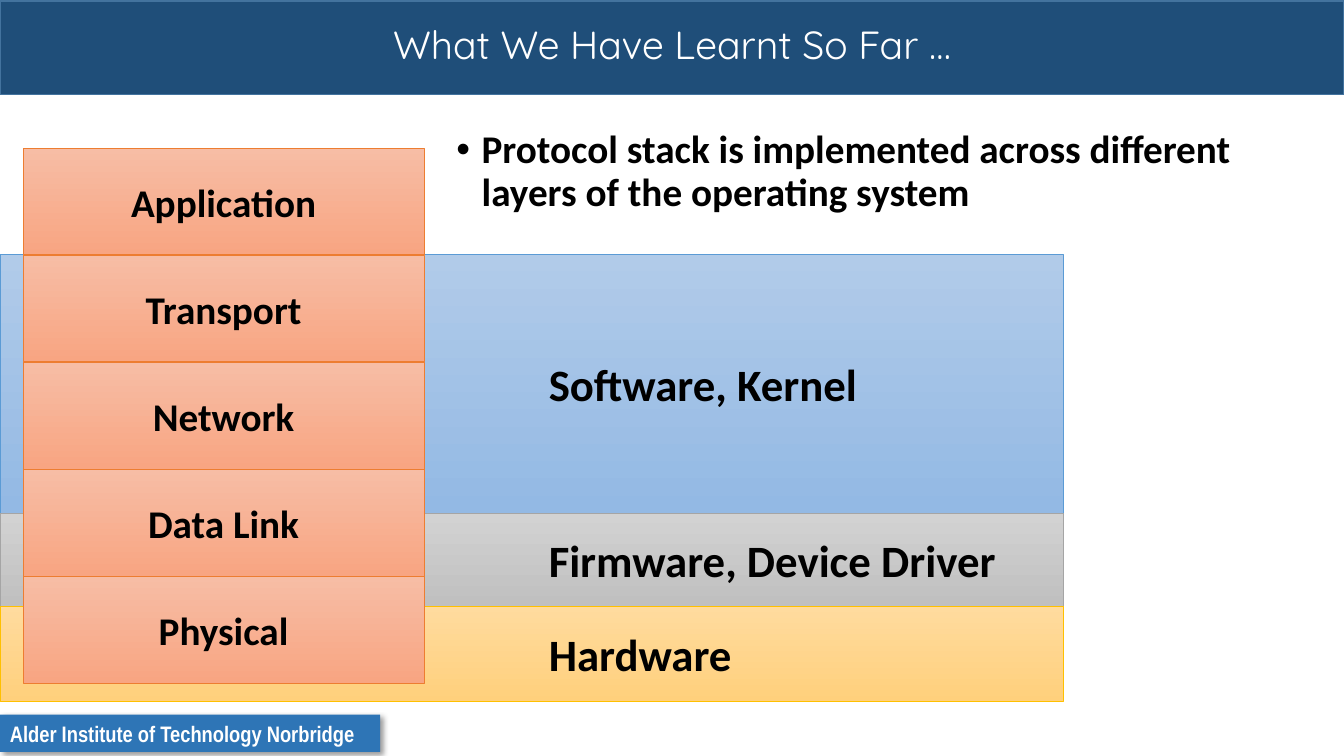
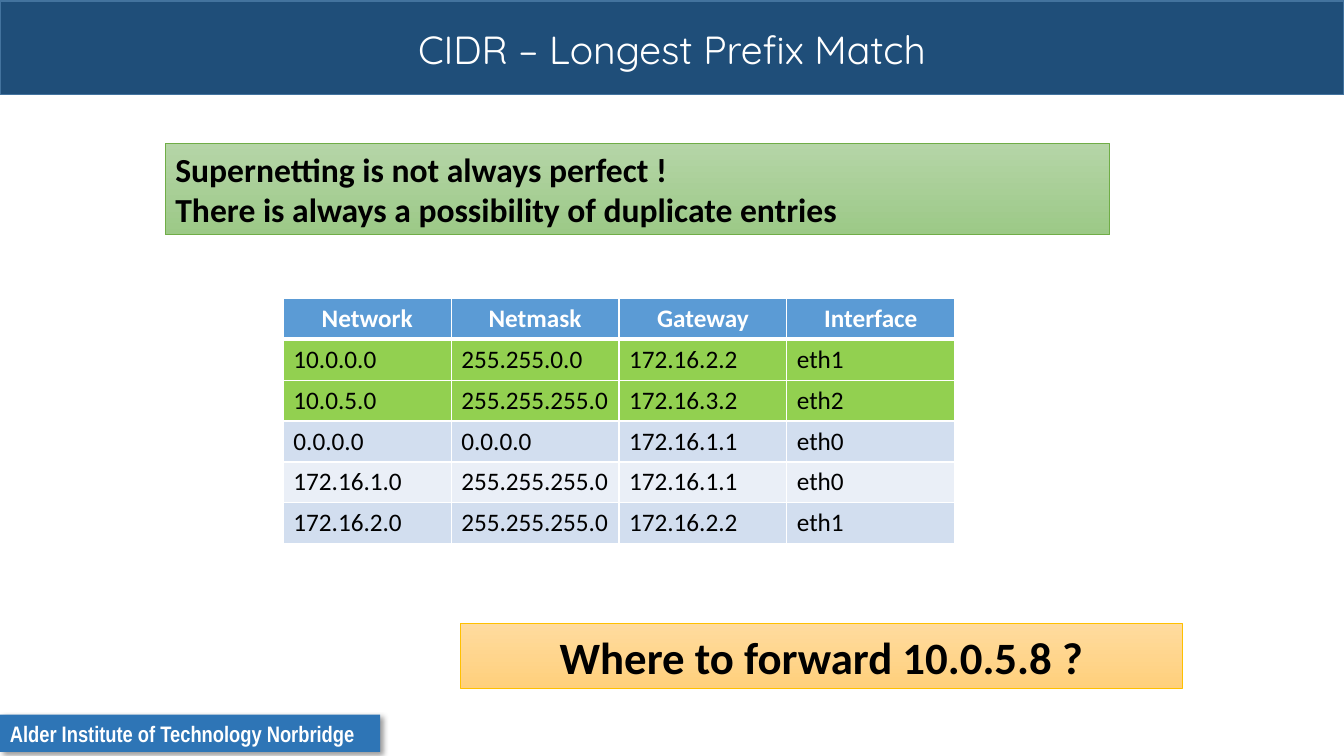
import pptx
import pptx.dml.color
import pptx.enum.shapes
import pptx.enum.text
import pptx.oxml
import pptx.oxml.ns
import pptx.util

Cm = pptx.util.Cm
Pt = pptx.util.Pt
RGBColor = pptx.dml.color.RGBColor
ALIGN = pptx.enum.text.PP_ALIGN
ANCHOR = pptx.enum.text.MSO_ANCHOR
RECTANGLE = pptx.enum.shapes.MSO_SHAPE.RECTANGLE

# Colours
WHITE = RGBColor(0xFF, 0xFF, 0xFF)
BLACK = RGBColor(0x00, 0x00, 0x00)
TITLE_FILL = RGBColor(0x1F, 0x4E, 0x79)
TITLE_LINE = RGBColor(0x43, 0x73, 0x9E)
FOOTER_FILL = RGBColor(0x2E, 0x75, 0xB6)
HEADER_FILL = RGBColor(0x5B, 0x9B, 0xD5)
MATCH_FILL = RGBColor(0x92, 0xD0, 0x50)
ROW_DARK = RGBColor(0xD2, 0xDE, 0xEF)
ROW_LIGHT = RGBColor(0xEA, 0xEF, 0xF7)

# Gradient themes: top, bottom, outline
BLUE = (RGBColor(0xB1, 0xCB, 0xE9), RGBColor(0x93, 0xB9, 0xE4), HEADER_FILL)
GREY = (RGBColor(0xD2, 0xD2, 0xD2), RGBColor(0xC0, 0xC0, 0xC0), RGBColor(0xA5, 0xA5, 0xA5))
GOLD = (RGBColor(0xFF, 0xDB, 0x9E), RGBColor(0xFF, 0xD0, 0x7C), RGBColor(0xFF, 0xC0, 0x00))
ORANGE = (RGBColor(0xF7, 0xBD, 0xA5), RGBColor(0xF8, 0xA5, 0x82), RGBColor(0xED, 0x7D, 0x31))
GREEN = (RGBColor(0xB5, 0xD5, 0xA7), RGBColor(0x9C, 0xC9, 0x87), RGBColor(0x70, 0xAD, 0x47))

# Font formats
TITLE_FONT = {"name": "Quicksand", "size": Pt(28), "bold": False}
FOOTER_FONT = {"name": "Arial Narrow", "size": Pt(16), "bold": True}
LARGE_FONT = {"name": "Calibri", "size": Pt(32), "bold": True}
BODY_FONT = {"name": "Calibri", "size": Pt(28), "bold": True}
NOTE_FONT = {"name": "Calibri", "size": Pt(24), "bold": True}
HEADER_FONT = {"name": "Calibri", "size": Pt(18), "bold": True}
CELL_FONT = {"name": "Calibri", "size": Pt(18), "bold": False}

# Paragraph formats
LEFT = {"alignment": ALIGN.LEFT}
CENTER = {"alignment": ALIGN.CENTER}
TITLE_PARAGRAPH = {"alignment": ALIGN.CENTER, "line_spacing": 0.9}
BULLET_PARAGRAPH = {"alignment": ALIGN.LEFT, "line_spacing": 0.9, "space_before": Pt(10)}

SLIDE_WIDTH = 33.87
SLIDE_HEIGHT = 19.05
FOOTER_TEXT = "Alder Institute of Technology Norbridge"

LAYERS = ["Application", "Transport", "Network", "Data Link", "Physical"]
BANDS = [
    ("Software, Kernel", 6.53, BLUE),
    ("Firmware, Device Driver", 2.35, GREY),
    ("Hardware", 2.4, GOLD),
]
ROUTES = [
    ("Network", "Netmask", "Gateway", "Interface"),
    ("10.0.0.0", "255.255.0.0", "172.16.2.2", "eth1"),
    ("10.0.5.0", "255.255.255.0", "172.16.3.2", "eth2"),
    ("0.0.0.0", "0.0.0.0", "172.16.1.1", "eth0"),
    ("172.16.1.0", "255.255.255.0", "172.16.1.1", "eth0"),
    ("172.16.2.0", "255.255.255.0", "172.16.2.2", "eth1"),
]
ROW_FILLS = [HEADER_FILL, MATCH_FILL, MATCH_FILL, ROW_DARK, ROW_LIGHT, ROW_DARK]


def apply_format(target, values):
    for name, value in values.items():
        setattr(target, name, value)


def add_xml(parent, xml):
    """Append an element written with the a: prefix."""
    namespace = pptx.oxml.ns.nsdecls("a")
    parent.append(pptx.oxml.parse_xml(xml.replace(" ", f" {namespace} ", 1)))


def write_text(text_frame, lines, font, color, paragraph_format):
    for index, line in enumerate(lines):
        paragraph = text_frame.add_paragraph() if index else text_frame.paragraphs[0]
        apply_format(paragraph, paragraph_format)
        run = paragraph.add_run()
        run.text = line
        apply_format(run.font, font)
        run.font.color.rgb = color


def add_rectangle(shapes, box, fill, line=None, line_width=0.5):
    """Fill is one colour, or a (top, bottom, outline) gradient theme."""
    shape = shapes.add_shape(RECTANGLE, *map(Cm, box))
    shape.shadow.inherit = False
    if isinstance(fill, RGBColor):
        shape.fill.solid()
        shape.fill.fore_color.rgb = fill
    else:
        *stop_colors, line = fill
        shape.fill.gradient()
        shape.fill.gradient_angle = 270
        for stop, color in zip(shape.fill.gradient_stops, stop_colors):
            stop.color.rgb = color
    if line is None:
        shape.line.fill.background()
    else:
        shape.line.color.rgb = line
        shape.line.width = Pt(line_width)
    return shape


def add_label(shapes, box, theme, lines, font, paragraph_format=CENTER, inset=0.25):
    shape = add_rectangle(shapes, box, theme)
    frame_format = {"word_wrap": True, "vertical_anchor": ANCHOR.MIDDLE, "margin_left": Cm(inset)}
    apply_format(shape.text_frame, frame_format)
    write_text(shape.text_frame, lines, font, BLACK, paragraph_format)


def add_text(slide, box, text, font, color, paragraph_format, anchor):
    text_frame = slide.shapes.add_textbox(*map(Cm, box)).text_frame
    apply_format(text_frame, {"word_wrap": True, "vertical_anchor": anchor})
    write_text(text_frame, [text], font, color, paragraph_format)
    return text_frame


def add_bullet(slide, box, text):
    text_frame = add_text(slide, box, text, BODY_FONT, BLACK, BULLET_PARAGRAPH, ANCHOR.TOP)
    properties = text_frame.paragraphs[0]._p.get_or_add_pPr()
    indent = Cm(0.64)
    properties.set("marL", str(indent))
    properties.set("indent", str(-indent))
    add_xml(properties, '<a:buFont typeface="Arial"/>')
    add_xml(properties, '<a:buChar char="•"/>')


def add_footer(slide):
    footer = add_rectangle(slide.shapes, (0, 18.01, 9.58, 0.94), FOOTER_FILL)
    effects = footer._element.spPr.find(pptx.oxml.ns.qn("a:effectLst"))
    add_xml(
        effects,
        f'<a:outerShdw blurRad="{Pt(4)}" dist="{Pt(3)}" dir="2700000" algn="tl" rotWithShape="0">'
        '<a:srgbClr val="000000"><a:alpha val="40000"/></a:srgbClr></a:outerShdw>',
    )
    apply_format(footer.text_frame, {"word_wrap": False, "vertical_anchor": ANCHOR.MIDDLE})
    write_text(footer.text_frame, [FOOTER_TEXT], FOOTER_FONT, WHITE, LEFT)


def add_slide(presentation, title, title_top):
    """Blank slide with the shared title band and footer."""
    slide = presentation.slides.add_slide(presentation.slide_layouts[6])
    add_rectangle(slide.shapes, (0, 0.03, SLIDE_WIDTH, 2.36), TITLE_FILL, TITLE_LINE, 1)
    add_footer(slide)
    title_box = (0, title_top, SLIDE_WIDTH, 2.3)
    add_text(slide, title_box, title, TITLE_FONT, WHITE, TITLE_PARAGRAPH, ANCHOR.MIDDLE)
    return slide


def set_borders(cell, widths):
    properties = cell._tc.get_or_add_tcPr()
    for side, width in widths.items():
        add_xml(
            properties,
            f'<a:ln{side} w="{Pt(width)}"><a:solidFill><a:srgbClr val="{WHITE}"/>'
            f"</a:solidFill></a:ln{side}>",
        )


def add_route_table(slide, left, top, column_width, row_height):
    row_count, column_count = len(ROUTES), len(ROUTES[0])
    size = (column_width * column_count, row_height * row_count)
    table = slide.shapes.add_table(row_count, column_count, *map(Cm, (left, top, *size))).table
    for column in table.columns:
        column.width = Cm(column_width)
    for row_index, (values, fill) in enumerate(zip(ROUTES, ROW_FILLS)):
        table.rows[row_index].height = Cm(row_height)
        is_header = row_index == 0
        style = (HEADER_FONT, WHITE, CENTER) if is_header else (CELL_FONT, BLACK, LEFT)
        # The rule under the header is thicker than the others
        borders = {"L": 1, "R": 1, "T": 3 if row_index == 1 else 1, "B": 3 if is_header else 1}
        for column_index, value in enumerate(values):
            cell = table.cell(row_index, column_index)
            set_borders(cell, borders)
            cell.fill.solid()
            cell.fill.fore_color.rgb = fill
            write_text(cell.text_frame, [value], *style)


def build_stack_slide(presentation):
    slide = add_slide(presentation, "What We Have Learnt So Far …", 0.03)

    # Operating system bands, one below the other
    top = 6.4
    for name, height, theme in BANDS:
        box = (0, top, 26.8, height)
        add_label(slide.shapes, box, theme, [name], LARGE_FONT, LEFT, inset=13.83)
        top += height

    # Protocol layers
    stack = slide.shapes.add_group_shape()
    for index, layer in enumerate(LAYERS):
        box = (0.58, 3.73 + 2.7 * index, 10.11, 2.69)
        add_label(stack.shapes, box, ORANGE, [layer], BODY_FONT)

    add_bullet(
        slide,
        (11.25, 3.15, 21.82, 14.86),
        "Protocol stack is implemented across different layers of the operating system",
    )


def build_prefix_slide(presentation):
    slide = add_slide(presentation, "CIDR – Longest Prefix Match", 0.15)
    add_route_table(slide, 7.14, 7.52, 4.23, 1.03)
    warning = [
        "Supernetting is not always perfect !",
        "There is always a possibility of duplicate entries",
    ]
    add_label(slide.shapes, (4.17, 3.61, 23.8, 2.31), GREEN, warning, NOTE_FONT, LEFT)
    question = ["Where to forward 10.0.5.8 ?"]
    add_label(slide.shapes, (11.61, 15.72, 18.19, 1.63), GOLD, question, LARGE_FONT)


def main():
    presentation = pptx.Presentation()
    presentation.slide_width = Cm(SLIDE_WIDTH)
    presentation.slide_height = Cm(SLIDE_HEIGHT)
    build_stack_slide(presentation)
    build_prefix_slide(presentation)
    presentation.save("out.pptx")


if __name__ == "__main__":
    main()
